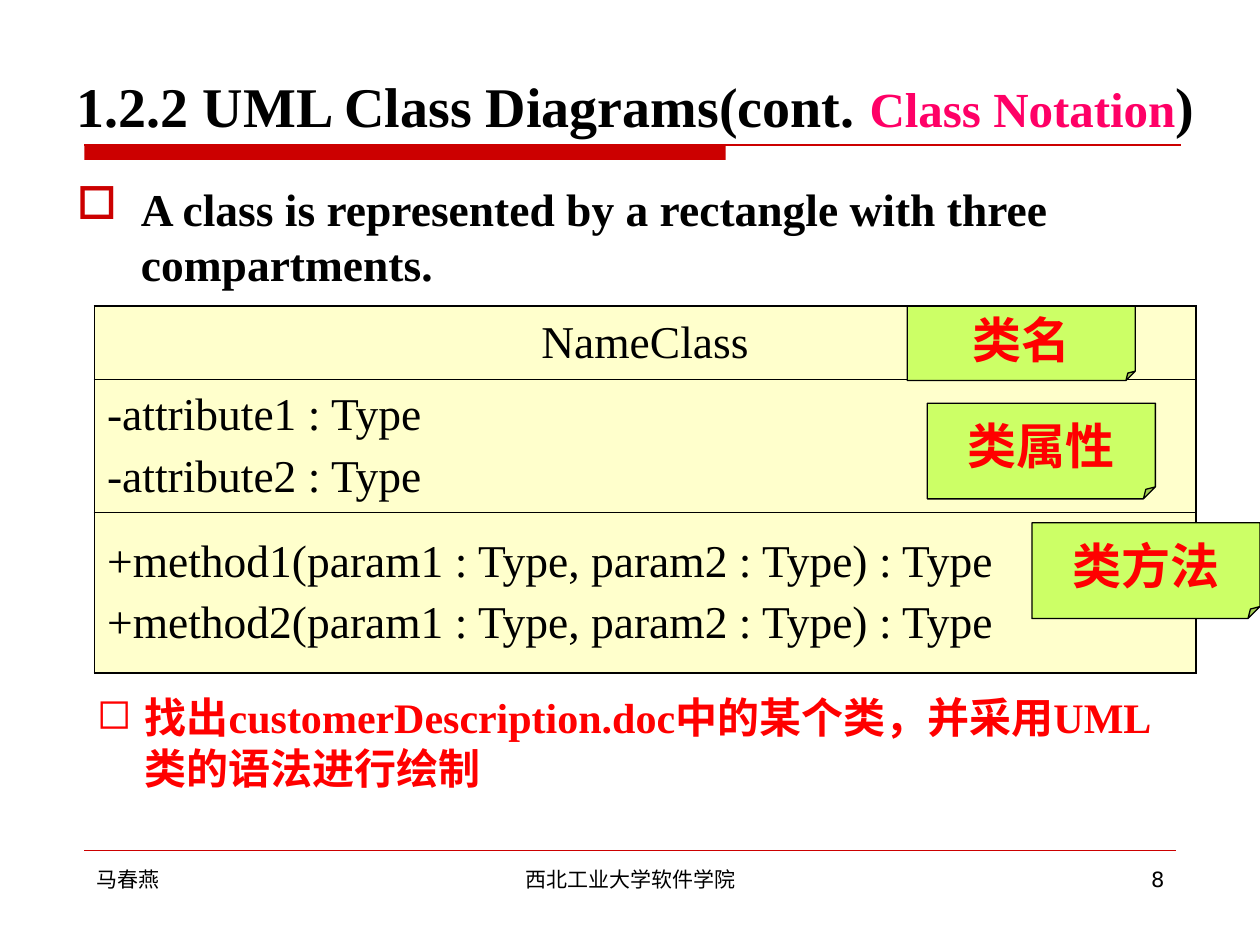
import pptx
import pptx.dml.color
import pptx.enum.shapes
import pptx.enum.text
import pptx.oxml.ns
import pptx.util

COLORS = {
    "ink": "000000", "rule": "CC0000", "accent": "FF0066",
    "note": "CCFF66", "cell": "FFFFCC", "alert": "FF0000",
}
CELL = pptx.util.Inches(0.1)
SERIF, SANS = "Times New Roman", "DejaVu Sans"
ALIGN = pptx.enum.text.PP_ALIGN
ANCHOR = pptx.enum.text.MSO_ANCHOR
SHAPE = pptx.enum.shapes.MSO_SHAPE
HEADING = {"name": SERIF, "size": 32, "bold": True, "color": "ink"}
POINT = {"name": SERIF, "size": 26, "bold": True, "color": "ink"}
MEMBER = {"name": SERIF, "size": 26, "bold": False, "color": "ink"}
TASK = {"name": SERIF, "size": 24, "bold": True, "color": "alert"}
LABEL = {"name": SANS, "size": 28, "bold": True, "color": "alert"}
FOOTER = {"name": SANS, "size": 12, "bold": False, "color": "ink"}


def grid(*cells):
    """Turn counts of grid columns and rows into lengths."""
    return [int(count * CELL) for count in cells]


def rgb(name):
    """Look up a named colour."""
    return pptx.dml.color.RGBColor.from_string(COLORS[name])


def style(font, values):
    """Apply format values to a font."""
    for key, value in values.items():
        if key == "color":
            font.color.rgb = rgb(value)
        else:
            setattr(font, key, pptx.util.Pt(value) if key == "size" else value)


def element(parent, tag, **attributes):
    """Append a drawing element to a parent and return it."""
    child = parent.makeelement(pptx.oxml.ns.qn(tag), attributes)
    parent.append(child)
    return child


def add_bullet(para, character, color, indent):
    """Give a paragraph a coloured bullet with a hanging indent."""
    properties = para._p.get_or_add_pPr()
    hang = pptx.util.Inches(indent)
    properties.set("marL", str(hang))
    properties.set("indent", str(-hang))
    bullet_color = element(properties, "a:buClr")
    element(bullet_color, "a:srgbClr", val=COLORS[color])
    element(properties, "a:buChar", char=character)


def write(frame, lines, values, align=ALIGN.LEFT):
    """Fill a text frame with one formatted paragraph per line."""
    for index, line in enumerate(lines):
        para = frame.paragraphs[0] if index == 0 else frame.add_paragraph()
        para.alignment = align
        if index:
            para.space_before = pptx.util.Pt(6.5)
        span = para.add_run()
        span.text = line
        style(span.font, values)


def add_text(page, place, text, values, align=ALIGN.LEFT):
    """Add a wrapping text box and return its paragraph."""
    frame = page.shapes.add_textbox(*grid(*place)).text_frame
    frame.word_wrap = True
    write(frame, [text], values, align)
    return frame.paragraphs[0]


def add_title(page, spans):
    """Place the title and write its differently formatted spans."""
    title = page.shapes.title
    title.left, title.top, title.width, title.height = grid(5.1, 4.9, 94.9, 6.6)
    frame = title.text_frame
    frame.auto_size = pptx.enum.text.MSO_AUTO_SIZE.NONE
    frame.vertical_anchor = ANCHOR.BOTTOM
    para = frame.paragraphs[0]
    para.alignment = ALIGN.LEFT
    for text, changes in spans:
        span = para.add_run()
        span.text = text
        style(span.font, {**HEADING, **changes})


def add_rule(page, left, right, top, weight):
    """Add a horizontal red rule."""
    rule = page.shapes.add_connector(
        pptx.enum.shapes.MSO_CONNECTOR.STRAIGHT, *grid(left, top, right, top))
    rule.line.color.rgb = rgb("rule")
    rule.line.width = pptx.util.Pt(weight)
    element(rule._element.spPr, "a:effectLst")


def add_block(page, kind, place, fill):
    """Add a filled shape without shadow."""
    block = page.shapes.add_shape(kind, *grid(*place))
    block.shadow.inherit = False
    block.fill.solid()
    block.fill.fore_color.rgb = rgb(fill)
    return block


def add_note(page, place, text):
    """Add a green note with a folded corner."""
    note = add_block(page, SHAPE.FOLDED_CORNER, place, "note")
    guides = note._element.spPr.find(".//" + pptx.oxml.ns.qn("a:avLst"))
    element(guides, "a:gd", name="adj", fmla="val 12500")
    note.line.color.rgb = rgb("ink")
    note.line.width = pptx.util.Pt(0.75)
    note.text_frame.word_wrap = False
    note.text_frame.vertical_anchor = ANCHOR.MIDDLE
    write(note.text_frame, [text], LABEL, ALIGN.CENTER)


def add_border(cell, side, weight):
    """Draw one side of a table cell."""
    line = element(cell._tc.get_or_add_tcPr(), f"a:ln{side}",
                   w=str(pptx.util.Pt(weight)))
    element(element(line, "a:solidFill"), "a:srgbClr", val=COLORS["ink"])


def add_class_table(page, place, compartments):
    """Add the class rectangle with one table row per compartment."""
    last = len(compartments) - 1
    table = page.shapes.add_table(last + 1, 1, *grid(*place)).table
    table.first_row = table.horz_banding = False
    for index, (height, align, lines) in enumerate(compartments):
        table.rows[index].height = grid(height)[0]
        cell = table.cell(index, 0)
        cell.vertical_anchor = ANCHOR.MIDDLE
        weights = {"L": 1.08, "R": 1.08,
                   "T": 0.45 if index else 1.08,
                   "B": 0.45 if index < last else 1.08}
        for side, weight in weights.items():
            add_border(cell, side, weight)
        cell.fill.solid()
        cell.fill.fore_color.rgb = rgb("cell")
        write(cell.text_frame, lines, MEMBER, align)


def main():
    """Build the class notation slide."""
    deck = pptx.Presentation()
    deck.slide_width, deck.slide_height = grid(100, 75)
    page = deck.slides.add_slide(deck.slide_layouts[5])

    bar = add_block(page, SHAPE.RECTANGLE, (6.7, 11.5, 50.9, 1.2), "rule")
    bar.line.fill.background()
    add_rule(page, 6.7, 93.7, 11.5, 0.75)
    add_rule(page, 6.7, 93.3, 67.5, 0.25)
    add_title(page, [
        ("1.2.2 UML Class Diagrams(cont. ", {}),
        ("Class Notation", {"size": 28, "color": "accent"}),
        (")", {}),
    ])

    point = add_text(
        page, (5.1, 13.9, 92.1, 9.6),
        "A class is represented by a rectangle with three compartments.", POINT)
    add_bullet(point, "□", "rule", 0.51)

    add_class_table(page, (7.5, 24.3, 87.4, 29.1), [
        (5.8, ALIGN.CENTER, ["NameClass"]),
        (10.6, ALIGN.LEFT, [f"-attribute{n} : Type" for n in (1, 2)]),
        (12.7, ALIGN.LEFT,
         [f"+method{n}(param1 : Type, param2 : Type) : Type" for n in (1, 2)]),
    ])
    for left, top, height, text in [
        (72, 24.3, 5.9, "类名"), (73.6, 32, 7.6, "类属性"), (81.9, 41.5, 7.6, "类方法"),
    ]:
        add_note(page, (left, top, 18.1, height), text)

    task = add_text(
        page, (6.7, 54.4, 87.8, 9),
        "找出customerDescription.doc中的某个类，并采用UML类的语法进行绘制", TASK)
    add_bullet(task, "◻", "alert", 0.38)

    for left, width, text, align in [
        (6.7, 21.7, "马春燕", ALIGN.LEFT),
        (34.2, 31.7, "西北工业大学软件学院", ALIGN.CENTER),
        (71.7, 21.7, "8", ALIGN.RIGHT),
    ]:
        add_text(page, (left, 68.3, width, 5.2), text, FOOTER, align)

    deck.save("out.pptx")


if __name__ == "__main__":
    main()
